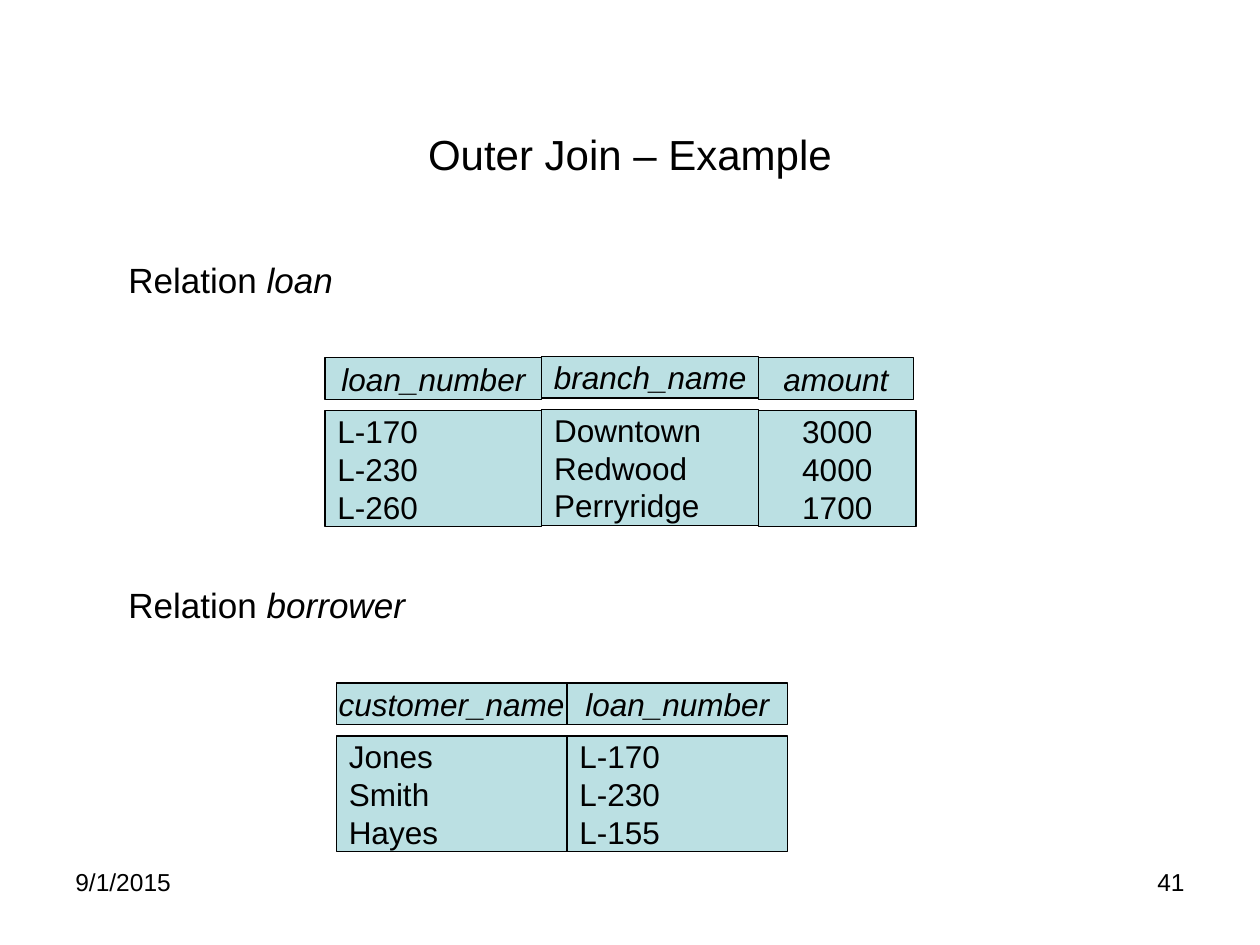
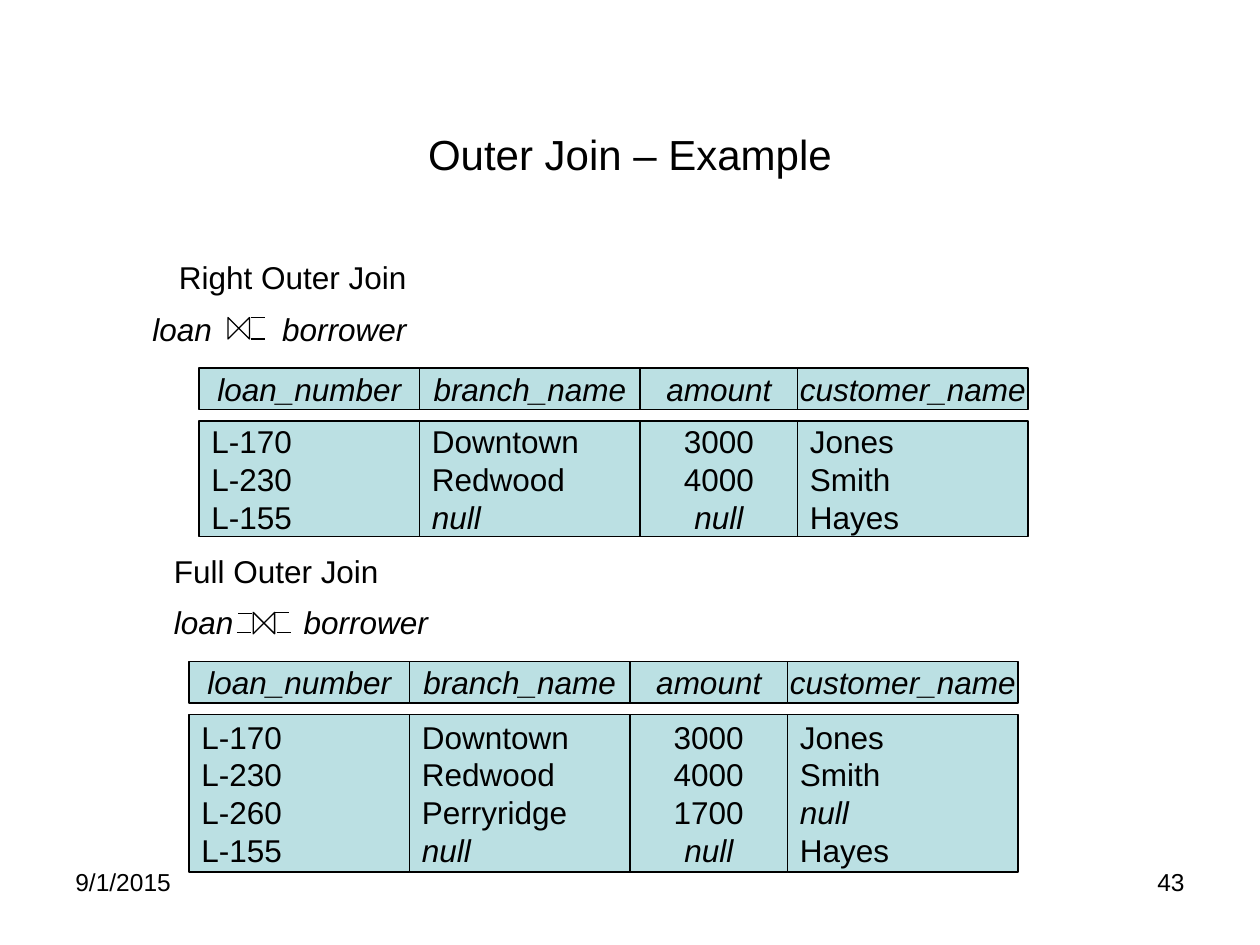
"""Builds two slides on outer joins of the loan and borrower relations."""
from dataclasses import dataclass

from lxml import etree
from pptx import Presentation
from pptx.dml.color import RGBColor
from pptx.enum.shapes import MSO_CONNECTOR, MSO_SHAPE
from pptx.enum.text import MSO_ANCHOR, PP_ALIGN
from pptx.oxml.ns import qn
from pptx.util import Inches, Pt

LEFT, CENTER, RIGHT = PP_ALIGN.LEFT, PP_ALIGN.CENTER, PP_ALIGN.RIGHT
TOP, MIDDLE = MSO_ANCHOR.TOP, MSO_ANCHOR.MIDDLE
RECT, COLLATE = MSO_SHAPE.RECTANGLE, MSO_SHAPE.FLOWCHART_COLLATE
STRAIGHT = MSO_CONNECTOR.STRAIGHT

COLORS = {"ink": "000000", "cell": "BBE0E3"}
FONT = "Arial"
LINE_WIDTH = Pt(0.75)
ROW_HEIGHT = 0.33
BODY_OFFSET = 0.42
BODY_TRIM = 0.07
JOIN_SIZE = 0.17
BORROWER_TAB = 1.03


@dataclass(frozen=True)
class Column:
    name: str
    width: float
    values: tuple[str, ...]
    align: PP_ALIGN = LEFT
    head_trim: float = 0
    lift: float = 0


@dataclass(frozen=True)
class Relation:
    left: float
    top: float
    columns: tuple[Column, ...]


@dataclass(frozen=True)
class Bar:
    x1: float
    x2: float
    y: float


@dataclass(frozen=True)
class JoinLabel:
    title: str
    left: float
    top: float
    indent: float
    bowtie: tuple[float, float]
    bars: tuple[Bar, ...]


LOAN = Relation(2.58, 2.84, (
    Column("loan_number", 1.72, ("L-170", "L-230", "L-260")),
    Column("branch_name", 1.72, ("Downtown", "Redwood", "Perryridge"), lift=0.01),
    Column("amount", 1.25, ("3000", "4000", "1700"), CENTER, head_trim=0.02),
))
BORROWER = Relation(2.67, 5.42, (
    Column("customer_name", 1.83, ("Jones", "Smith", "Hayes")),
    Column("loan_number", 1.75, ("L-170", "L-230", "L-155")),
))
RIGHT_JOIN = Relation(1.58, 2.92, (
    Column("loan_number", 1.75, ("L-170", "L-230", "L-155")),
    Column("branch_name", 1.75, ("Downtown", "Redwood", "null")),
    Column("amount", 1.25, ("3000", "4000", "null"), CENTER),
    Column("customer_name", 1.83, ("Jones", "Smith", "Hayes")),
))
FULL_JOIN = Relation(1.5, 5.25, (
    Column("loan_number", 1.75, ("L-170", "L-230", "L-260", "L-155")),
    Column("branch_name", 1.75, ("Downtown", "Redwood", "Perryridge", "null")),
    Column("amount", 1.25, ("3000", "4000", "1700", "null"), CENTER),
    Column("customer_name", 1.83, ("Jones", "Smith", "null", "Hayes")),
))
JOIN_LABELS = (
    JoinLabel("Full Outer Join", 1, 4.33, 0, (2.01, 4.86), (
        Bar(1.89, 2, 4.87), Bar(1.88, 1.99, 5.02),
        Bar(2.2, 2.31, 5.02), Bar(2.18, 2.29, 4.86))),
    JoinLabel("Right Outer Join", 0.83, 2, 0.21, (1.81, 2.52), (
        Bar(1.99, 2.1, 2.52), Bar(1.99, 2.1, 2.69))),
)


def color(name: str) -> RGBColor:
    return RGBColor.from_string(COLORS[name])


def add_run(p, text: str, size: float, italic: bool = False) -> None:
    r = p.add_run()
    r.text = text
    r.font.name = FONT
    r.font.size = Pt(size)
    r.font.italic = italic
    r.font.color.rgb = color("ink")


def add_text(slide, left: float, top: float, width: float, height: float,
             align: PP_ALIGN = LEFT, anchor: MSO_ANCHOR = TOP):
    sp = slide.shapes.add_textbox(Inches(left), Inches(top), Inches(width), Inches(height))
    tf = sp.text_frame
    tf.word_wrap = True
    tf.vertical_anchor = anchor
    tf.paragraphs[0].alignment = align
    return tf


def add_cell(slide, left: float, top: float, width: float, height: float,
             lines: tuple[str, ...], align: PP_ALIGN, italic: bool = False) -> None:
    sp = slide.shapes.add_shape(RECT, Inches(left), Inches(top), Inches(width), Inches(height))
    sp.shadow.inherit = False
    sp.fill.solid()
    sp.fill.fore_color.rgb = color("cell")
    sp.line.color.rgb = color("ink")
    sp.line.width = LINE_WIDTH
    tf = sp.text_frame
    tf.word_wrap = False
    tf.vertical_anchor = MIDDLE
    for i, line in enumerate(lines):
        p = tf.add_paragraph() if i else tf.paragraphs[0]
        p.alignment = align
        add_run(p, line, 18, italic or line == "null")


def add_relation(slide, rel: Relation) -> None:
    left = rel.left
    for col in rel.columns:
        top = rel.top - col.lift
        height = ROW_HEIGHT * len(col.values) - BODY_TRIM
        add_cell(slide, left, top, col.width - col.head_trim, ROW_HEIGHT,
                 (col.name,), CENTER, italic=True)
        add_cell(slide, left, top + BODY_OFFSET, col.width, height, col.values, col.align)
        left += col.width


def add_bar(slide, bar: Bar) -> None:
    cxn = slide.shapes.add_connector(STRAIGHT, Inches(bar.x1), Inches(bar.y),
                                     Inches(bar.x2), Inches(bar.y))
    cxn.line.color.rgb = color("ink")
    cxn.line.width = LINE_WIDTH
    etree.SubElement(cxn._element.spPr, qn("a:effectLst"))


def add_join_label(slide, label: JoinLabel) -> None:
    tf = add_text(slide, label.left, label.top, 4.45, 0.81)
    tf.margin_left = Inches(0.38)
    p = tf.paragraphs[0]
    p._p.get_or_add_pPr().set("marL", str(Inches(label.indent)))
    add_run(p, label.title, 18)
    p = tf.add_paragraph()
    tabs = etree.SubElement(p._p.get_or_add_pPr(), qn("a:tabLst"))
    etree.SubElement(tabs, qn("a:tab"), pos=str(Inches(BORROWER_TAB)), algn="l")
    p.space_before = Pt(7.9)
    add_run(p, "loan\tborrower", 18, italic=True)

    x, y = label.bowtie
    sp = slide.shapes.add_shape(COLLATE, Inches(x), Inches(y),
                                Inches(JOIN_SIZE), Inches(JOIN_SIZE))
    sp.rotation = 270
    sp.shadow.inherit = False
    sp.fill.background()
    sp.line.color.rgb = color("ink")
    sp.line.width = LINE_WIDTH
    for bar in label.bars:
        add_bar(slide, bar)


def add_heading(slide, name: str, top: float, width: float) -> None:
    p = add_text(slide, 0.92, top, width, 0.53).paragraphs[0]
    add_run(p, "Relation ", 20)
    add_run(p, name, 20, italic=True)


def new_slide(prs, number: str):
    slide = prs.slides.add_slide(prs.slide_layouts[6])
    tf = add_text(slide, 0.5, 0.89, 9, 0.66, CENTER, MIDDLE)
    add_run(tf.paragraphs[0], "Outer Join – Example", 24)
    for text, left, align in ((number, 7.17, RIGHT), ("9/1/2015", 0.5, LEFT)):
        tf = add_text(slide, left, 6.83, 2.33, 0.52, align)
        add_run(tf.paragraphs[0], text, 14)
    return slide


def main() -> None:
    prs = Presentation()
    prs.slide_width, prs.slide_height = Inches(10), Inches(7.5)

    slide = new_slide(prs, "41")
    add_heading(slide, "loan", 2, 7.5)
    add_heading(slide, "borrower", 4.58, 7.69)
    add_relation(slide, BORROWER)
    add_relation(slide, LOAN)

    slide = new_slide(prs, "43")
    add_relation(slide, RIGHT_JOIN)
    add_relation(slide, FULL_JOIN)
    for label in JOIN_LABELS:
        add_join_label(slide, label)

    prs.save("out.pptx")


if __name__ == "__main__":
    main()
